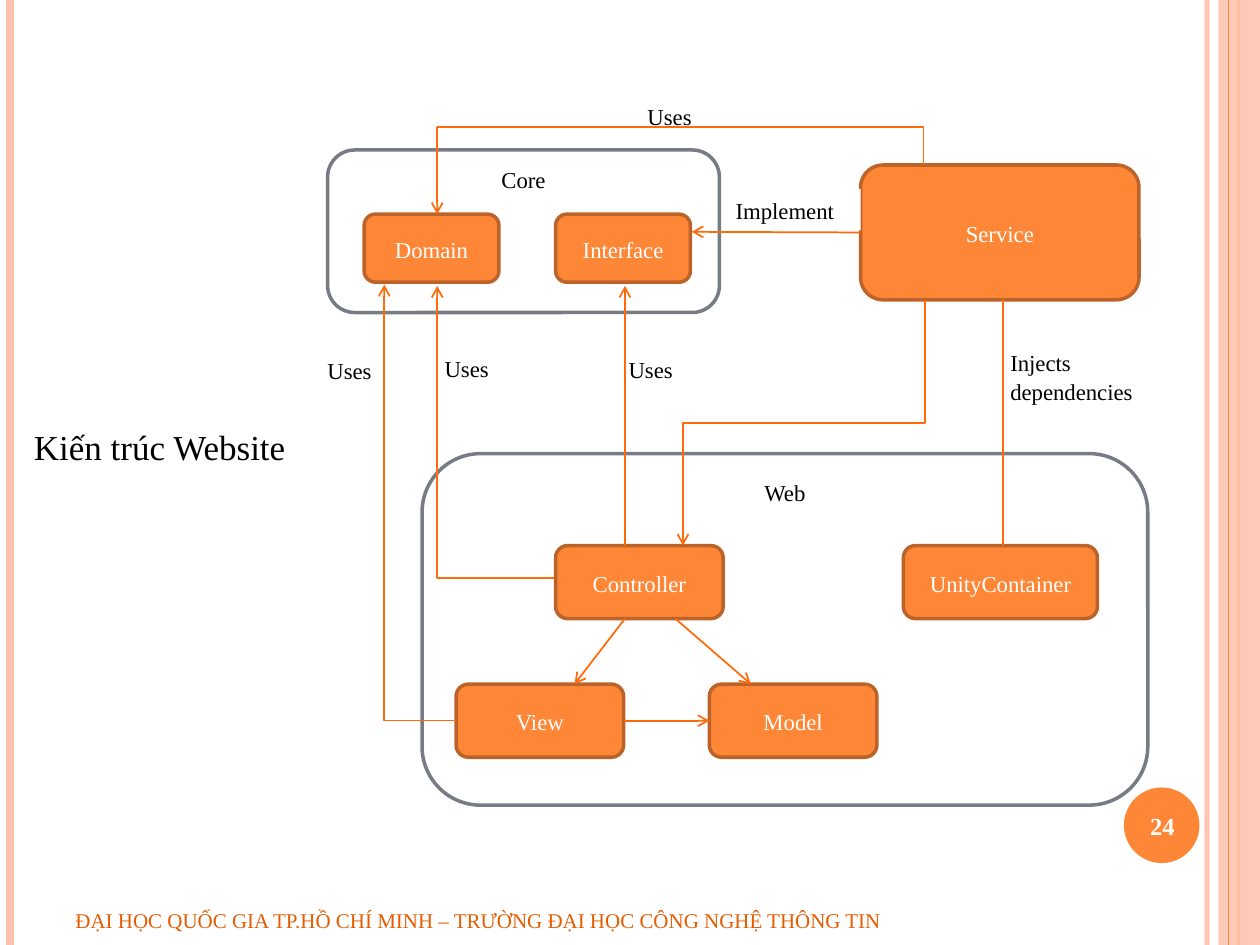
from dataclasses import dataclass

from lxml.etree import SubElement
from pptx import Presentation
from pptx.dml.color import RGBColor
from pptx.enum.shapes import MSO_CONNECTOR, MSO_SHAPE
from pptx.enum.text import MSO_ANCHOR, PP_ALIGN
from pptx.oxml.ns import qn
from pptx.shapes.autoshape import Shape
from pptx.shapes.connector import Connector
from pptx.util import Inches, Pt

FONT = "Times New Roman"
WHITE = RGBColor(0xFF, 0xFF, 0xFF)
BLACK = RGBColor(0x00, 0x00, 0x00)
ORANGE = RGBColor(0xFE, 0x86, 0x37)
BROWN = RGBColor(0xBC, 0x63, 0x29)
ARROW = RGBColor(0xFF, 0x6B, 0x0A)
GRAY = RGBColor(0x77, 0x7C, 0x84)
PEACH = RGBColor(0xFE, 0xC3, 0xAE)
FOOTER = RGBColor(0xE6, 0x5C, 0x01)

Point = tuple[float, float]


@dataclass(frozen=True)
class Box:
    text: str
    left: float
    top: float
    width: float
    height: float


@dataclass(frozen=True)
class Line:
    begin: Point
    end: Point
    arrow: bool = True


LABELS = [
    Box("Uses", 2.5, 2.77, 0.82, 0.41),
    Box("Uses", 3.43, 2.75, 0.82, 0.41),
    Box("Injects dependencies", 7.92, 2.7, 1.27, 0.6),
    Box("Uses", 4.89, 2.76, 0.82, 0.41),
    Box("Uses", 5.04, 0.75, 0.82, 0.41),
]
IMPLEMENT_LABEL = Box("Implement", 5.74, 1.5, 1.09, 0.33)
GROUPS = [
    Box("Core", 2.6, 1.19, 3.11, 1.29),
    Box("Web", 3.35, 3.6, 5.76, 2.79),
]
COMPONENTS = [
    Box("Domain", 2.89, 1.7, 1.07, 0.54),
    Box("Interface", 4.41, 1.7, 1.07, 0.54),
    Box("Service", 6.83, 1.31, 2.21, 1.07),
    Box("View", 3.62, 5.43, 1.33, 0.58),
    Box("Controller", 4.41, 4.33, 1.33, 0.58),
    Box("Model", 5.63, 5.43, 1.33, 0.58),
    Box("UnityContainer", 7.17, 4.33, 1.54, 0.58),
]
STRAIGHT_LINES = [
    Line((4.96, 4.33), (4.96, 2.27)),
    Line((7.96, 4.33), (7.96, 2.37), arrow=False),
    Line((4.96, 4.91), (4.56, 5.43)),
    Line((5.36, 4.91), (5.96, 5.43)),
    Line((7.33, 1.31), (7.33, 1.01), arrow=False),
    Line((7.33, 1.01), (3.47, 1.01), arrow=False),
    Line((3.47, 1.01), (3.47, 1.7)),
]

presentation = Presentation()
presentation.slide_width = Inches(10)
presentation.slide_height = Inches(7.5)
slide = presentation.slides.add_slide(presentation.slide_layouts[6])


def set_alpha(color_format_parent, percent: int) -> None:
    """Make the solid colour below an XML element partly transparent."""
    color = color_format_parent.find(".//" + qn("a:srgbClr"))
    SubElement(color, qn("a:alpha")).set("val", str(percent * 1000))


def write(shape: Shape, text: str, size: float, color: RGBColor,
          align: PP_ALIGN = PP_ALIGN.LEFT, anchor: MSO_ANCHOR = MSO_ANCHOR.TOP,
          wrap: bool = True, bold: bool = False) -> None:
    frame = shape.text_frame
    frame.word_wrap = wrap
    frame.vertical_anchor = anchor
    paragraph = frame.paragraphs[0]
    paragraph.alignment = align
    run = paragraph.add_run()
    run.text = text
    run.font.name = FONT
    run.font.size = Pt(size)
    run.font.bold = bold
    run.font.color.rgb = color


def add_shape(box: Box, kind: MSO_SHAPE, fill: RGBColor,
              outline: RGBColor | None = None) -> Shape:
    shape = slide.shapes.add_shape(kind, Inches(box.left), Inches(box.top),
                                   Inches(box.width), Inches(box.height))
    shape.shadow.inherit = False
    shape.fill.solid()
    shape.fill.fore_color.rgb = fill
    if outline is None:
        shape.line.fill.background()
    else:
        shape.line.color.rgb = outline
        shape.line.width = Pt(2)
    return shape


def add_text_box(box: Box, size: float, color: RGBColor, **options) -> None:
    shape = slide.shapes.add_textbox(Inches(box.left), Inches(box.top),
                                     Inches(box.width), Inches(box.height))
    write(shape, box.text, size, color, **options)


def add_diagram_box(box: Box, kind: MSO_SHAPE, fill: RGBColor, outline: RGBColor | None,
                    color: RGBColor, align: PP_ALIGN, anchor: MSO_ANCHOR) -> Shape:
    shape = add_shape(box, kind, fill, outline)
    write(shape, box.text, 13, color, align, anchor)
    paragraph = shape.text_frame.paragraphs[0]
    paragraph.line_spacing = 1.07
    paragraph.space_after = Pt(8)
    return shape


def add_label(box: Box) -> Shape:
    return add_diagram_box(box, MSO_SHAPE.RECTANGLE, WHITE, None, BLACK,
                           PP_ALIGN.LEFT, MSO_ANCHOR.TOP)


def add_line(line: Line, color: RGBColor = ARROW, width: float = 1,
             kind: MSO_CONNECTOR = MSO_CONNECTOR.STRAIGHT) -> Connector:
    connector = slide.shapes.add_connector(kind, *map(Inches, line.begin + line.end))
    connector.line.color.rgb = color
    connector.line.width = Pt(width)
    if line.arrow:
        SubElement(connector.line._get_or_add_ln(), qn("a:tailEnd")).set("type", "arrow")
    SubElement(connector._element.spPr, qn("a:effectLst"))
    return connector


def add_vertical_elbow(begin: Point, end: Point, bend: float) -> None:
    """Draw a leftward elbow that ends vertically and turns at a share of its height."""
    center_x, center_y = (begin[0] + end[0]) / 2, (begin[1] + end[1]) / 2
    half_width, half_height = (end[1] - begin[1]) / 2, abs(begin[0] - end[0]) / 2
    upward = half_width < 0
    half_width = abs(half_width)
    rise = -half_height if upward else half_height
    connector = add_line(Line((center_x - half_width, center_y - rise),
                              (center_x + half_width, center_y + rise)),
                         kind=MSO_CONNECTOR.ELBOW)
    properties = connector._element.spPr
    properties.find(qn("a:xfrm")).set("rot", str((270 if upward else 90) * 60000))
    guide = SubElement(properties.find(qn("a:prstGeom")).find(qn("a:avLst")), qn("a:gd"))
    guide.set("name", "adj1")
    guide.set("fmla", f"val {round(bend * 100000)}")


def add_page_frame() -> None:
    def add_rule(x: float, color: RGBColor, width: float) -> Connector:
        return add_line(Line((x, 0), (x, 7.5), arrow=False), color, width)

    set_alpha(add_rule(9.58, PEACH, 3)._element.spPr, 93)
    add_rule(0.08, PEACH, 4.5)
    add_rule(9.83, ORANGE, 1.5)
    band = add_shape(Box("", 9.67, 0, 0.33, 7.5), MSO_SHAPE.RECTANGLE, PEACH)
    set_alpha(band._element.spPr, 87)
    add_rule(9.75, ORANGE, 0.75)
    add_shape(Box("", 8.92, 6.25, 0.6, 0.6), MSO_SHAPE.OVAL, ORANGE)
    add_text_box(Box("24", 8.89, 6.27, 0.67, 0.57), 14, WHITE,
                 align=PP_ALIGN.CENTER, anchor=MSO_ANCHOR.MIDDLE, bold=True)
    add_text_box(Box("ĐẠI HỌC QUỐC GIA TP.HỒ CHÍ MINH – TRƯỜNG ĐẠI HỌC CÔNG NGHỆ THÔNG TIN",
                     0.5, 7.1, 7.75, 0.4), 12, FOOTER, anchor=MSO_ANCHOR.MIDDLE)


def add_diagram() -> None:
    for label in LABELS:
        add_label(label)
    for group in GROUPS:
        add_diagram_box(group, MSO_SHAPE.ROUNDED_RECTANGLE, WHITE, GRAY, BLACK,
                        PP_ALIGN.CENTER, MSO_ANCHOR.TOP)
    components = {
        box.text: add_diagram_box(box, MSO_SHAPE.ROUNDED_RECTANGLE, ORANGE, BROWN, WHITE,
                                  PP_ALIGN.CENTER, MSO_ANCHOR.MIDDLE)
        for box in COMPONENTS
    }
    implement = add_line(Line((6.83, 1.84), (5.49, 1.84)))
    implement.begin_connect(components["Service"], 1)
    add_label(IMPLEMENT_LABEL)
    for line in STRAIGHT_LINES:
        add_line(line)
    view_to_model = add_line(Line((4.95, 5.72), (5.63, 5.72)))
    view_to_model.begin_connect(components["View"], 3)
    view_to_model.end_connect(components["Model"], 1)
    add_vertical_elbow((7.34, 2.38), (5.42, 4.33), 0.5)
    add_vertical_elbow((4.4, 4.59), (3.47, 2.27), 0)
    add_vertical_elbow((3.62, 5.72), (3.05, 2.26), 0)


add_page_frame()
add_diagram()
add_text_box(Box("Kiến trúc Website", 0.17, 3.33, 2.21, 0.44), 20, BLACK, wrap=False)
presentation.save("out.pptx")
